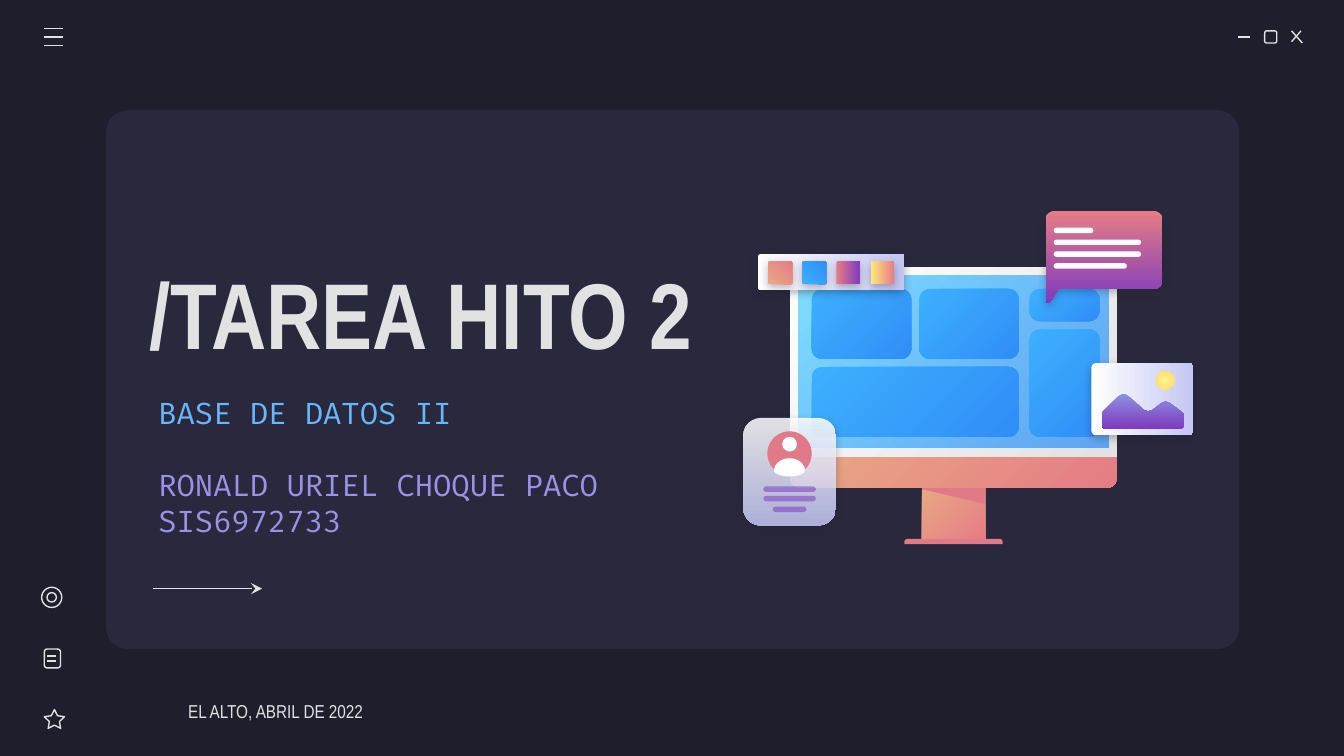
from math import cos, sin, radians
from lxml.etree import SubElement
from pptx import Presentation
from pptx.dml.color import RGBColor
from pptx.enum.shapes import MSO_CONNECTOR, MSO_SHAPE
from pptx.enum.text import MSO_ANCHOR, MSO_AUTO_SIZE, PP_ALIGN
from pptx.oxml.ns import qn
from pptx.util import Inches, Pt

NIGHT = RGBColor(0x1E, 0x1E, 0x2C)
PANEL = RGBColor(0x29, 0x28, 0x3D)
PALE = RGBColor(0xE2, 0xE2, 0xE2)
WHITE = RGBColor(0xFF, 0xFF, 0xFF)
SKY = RGBColor(0x68, 0xB7, 0xFA)
LILAC = RGBColor(0x9A, 0x92, 0xE6)
CYAN = RGBColor(0x80, 0xDF, 0xFF)
AZURE = RGBColor(0x3D, 0xB0, 0xFD)
BLUE = RGBColor(0x30, 0x8E, 0xF7)
PEACH = RGBColor(0xE9, 0xA9, 0x84)
CORAL = RGBColor(0xE5, 0x7C, 0x85)
ROSE = RGBColor(0xE0, 0x7A, 0x88)
PLUM = RGBColor(0x7E, 0x3B, 0xBE)
IRIS = RGBColor(0x8D, 0x90, 0xE1)
MIST = RGBColor(0xC5, 0xC7, 0xF4)
LEMON = RGBColor(0xFF, 0xF6, 0x8E)
STRAW = RGBColor(0xFF, 0xEA, 0x7D)
GOLD = RGBColor(0xFF, 0xD9, 0x66)

deck = Presentation()
deck.slide_width, deck.slide_height = Inches(10), Inches(5.625)
slide = deck.slides.add_slide(deck.slide_layouts[5])
slide.background.fill.solid()
slide.background.fill.fore_color.rgb = NIGHT
shapes = slide.shapes
CELL = deck.slide_width / 100  # square grid, 100 columns wide

ROUND, RECT, OVAL = MSO_SHAPE.ROUNDED_RECTANGLE, MSO_SHAPE.RECTANGLE, MSO_SHAPE.OVAL
DOME = MSO_SHAPE.ROUND_2_SAME_RECTANGLE


def paint(shape, tones, angle=0, alpha=(), shade=0, turn=0):
    """No tones: outline only; one: solid; two: gradient (angle None: radial)."""
    shape.shadow.inherit = False
    shape.rotation = turn
    props = shape._element.spPr
    if not tones:
        shape.fill.background()
        shape.line.color.rgb, shape.line.width = PALE, Pt(0.75)
        return
    shape.line.fill.background()
    if len(tones) == 1:
        shape.fill.solid()
        shape.fill.fore_color.rgb = tones[0]
    else:
        shape.fill.gradient()
        for stop, tone in zip(shape.fill.gradient_stops, tones):
            stop.color.rgb = tone
        shape.fill.gradient_angle = -(angle or 0) % 360
        if angle is None:
            grad = props.find(qn("a:gradFill"))
            grad.remove(grad.find(qn("a:lin")))
            ring = SubElement(grad, qn("a:path"), path="circle")
            SubElement(ring, qn("a:fillToRect"), dict.fromkeys("ltrb", "50000"))
    for tone, part in zip(props.iter(qn("a:srgbClr")), alpha):
        SubElement(tone, qn("a:alpha"), val=str(part * 1000))
    if shade:
        drop = SubElement(props.find(qn("a:effectLst")), qn("a:outerShdw"), blurRad=str(Pt(4.5)),
                          dist=str(Pt(1.5)), dir="5400000", algn="bl", rotWithShape="0")
        tone = SubElement(drop, qn("a:srgbClr"), val=str(NIGHT))
        SubElement(tone, qn("a:alpha"), val=str(shade * 1000))


def block(kind, place, tones=(), bend=(), **look):
    """A preset shape at a grid place, or an outline when kind is None."""
    if kind is None:
        dots = [(x * CELL, y * CELL) for x, y in place]
        pen = shapes.build_freeform(*dots[0])
        pen.add_line_segments(dots[1:], close=True)
        shape = pen.convert_to_shape()
    else:
        shape = shapes.add_shape(kind, *(round(v * CELL) for v in place))
        for i, value in enumerate(bend):
            shape.adjustments[i] = value
    paint(shape, tones, **look)


# Panel, window button and side icons
block(ROUND, (7.9, 8.2, 84.3, 40.1), [PANEL], [0.04])
block(ROUND, (94.1, 2.3, 0.9, 0.9), bend=[0.17])
block(MSO_SHAPE.STAR_5_POINT, (3.3, 52.8, 1.5, 1.4), bend=[0.25])
block(ROUND, (3.3, 48.3, 1.2, 1.4), bend=[0.17])
block(OVAL, (3.1, 43.7, 1.5, 1.5))
block(OVAL, (3.5, 44.1, 0.7, 0.7))

# Lines: menu, window buttons, note icon, arrow
lines = [(3.3, y, 4.7, y) for y in (2.1, 2.75, 3.4)]
lines += [(92.1, 2.75, 93, 2.75), (96.1, 2.3, 96.9, 3.2), (96.8, 2.3, 96.1, 3.1)]
lines += [(3.5, y, 4.2, y) for y in (48.8, 49.2)]
lines += [(11.4, 43.8, 19.5, 43.8)]
for ends in lines:
    line = shapes.add_connector(MSO_CONNECTOR.STRAIGHT, *(round(v * CELL) for v in ends))
    line.line.color.rgb, line.line.width = PALE, Pt(0.75)
    SubElement(line._element.spPr, qn("a:effectLst"))
SubElement(line.line._get_or_add_ln(), qn("a:tailEnd"), type="stealth")

# Texts: place, right inset, align, format, lines with colours
title = shapes.title
shapes._spTree.append(title._element)
texts = [
    (title, (10.1, 14.4, 44.7, 17.6), 1, PP_ALIGN.LEFT,
     {"name": "Arial Narrow", "size": Pt(50), "bold": True}, [("/TAREA HITO 2", PALE)]),
    (None, (10.8, 32.4, 37, 4.6), 1, PP_ALIGN.LEFT, {"name": "Fira Code", "size": Pt(16)},
     [("BASE DE DATOS II", SKY), ("RONALD URIEL CHOQUE PACO SIS6972733", LILAC)]),
    (None, (8, 51.4, 19, 3), 0, PP_ALIGN.RIGHT, {"name": "Arial Narrow", "size": Pt(10)},
     [("EL ALTO, ABRIL DE 2022", PALE)]),
]
for box, place, inset, align, style, rows in texts:
    spots = [round(v * CELL) for v in place]
    box = box or shapes.add_textbox(*spots)
    box.left, box.top, box.width, box.height = spots
    frame = box.text_frame
    edge = Inches(0.1)
    setup = {"word_wrap": True, "auto_size": MSO_AUTO_SIZE.NONE,
             "vertical_anchor": MSO_ANCHOR.MIDDLE, "margin_left": edge, "margin_top": edge,
             "margin_bottom": edge, "margin_right": edge * inset}
    for key, value in setup.items():
        setattr(frame, key, value)
    for i, (words, tone) in enumerate(rows):
        para = frame.add_paragraph() if i else frame.paragraphs[0]
        para.alignment = align
        para.space_before = Pt(19.3 * i)
        run = para.add_run()
        run.text = words
        run.font.color.rgb = tone
        for key, value in style.items():
            setattr(run.font, key, value)

# Monitor: stand, chin, frame, screen
block(RECT, (68.6, 36.1, 4.7, 4.3), [PEACH, CORAL], angle=45)
block(DOME, (67.3, 40.1, 7.3, 0.4), [ROSE], [0.5, 0])
block(None, [(68.6, 36.1), (68.6, 36.4), (73.3, 37.5), (73.3, 36.1)], [ROSE])
block(DOME, (58.8, 33.9, 24.3, 2.4), [PEACH, CORAL], [0, 0.28], angle=45)
block(DOME, (58.8, 19.9, 24.3, 14.1), [WHITE, PALE], [0.04, 0], angle=45)
block(RECT, (59.4, 20.5, 23.1, 12.8), [CYAN, BLUE], angle=45, alpha=(100, 72))
tiles = [(60.4, 21.5, 7.4, 5.2), (60.4, 27.3, 15.4, 5.2), (68.4, 21.5, 7.4, 5.2),
         (76.6, 21.5, 5.2, 2.4), (76.6, 24.5, 5.2, 8)]
for tile in tiles:
    block(ROUND, tile, [AZURE, BLUE], [0.77 / min(tile[2:])], angle=45)

# Speech bubble: three round corners and a tail
bubble = []
for x, y, start in [(78.45, 16.35, 180), (85.85, 16.35, 270), (85.85, 20.85, 0)]:
    bubble += [(x + 0.65 * cos(radians(start + t)), y + 0.65 * sin(radians(start + t)))
               for t in range(0, 91, 10)]
bubble += [(78.8, 21.5), (78.15, 22.45), (78, 22.53), (77.85, 22.5), (77.8, 22.4)]
block(None, bubble, [CORAL, PLUM], angle=90, shade=30)
for i, wide in enumerate((2.95, 6.5, 6.5, 5.45)):
    block(ROUND, (78.4, 16.95 + 0.88 * i, wide, 0.4), [WHITE], [0.5])

# Profile card
block(ROUND, (55.3, 31.1, 6.9, 8), [WHITE, MIST], [0.19], angle=90, alpha=(86, 86), shade=29)
block(OVAL, (57.1, 32.1, 3.3, 3.3), [ROSE])
block(OVAL, (58.2, 32.5, 1.1, 1.1), [WHITE])
turns = [radians(t) for t in range(0, 360, 10)]
block(None, [(58.75 + 1.15 * cos(t), 35 - (0.9 if sin(t) > 0 else 0.45) * sin(t))
             for t in turns], [WHITE])
for x, y, wide in [(56.8, 36.2, 3.9), (56.8, 36.9, 3.9), (57.5, 37.7, 2.5)]:
    block(ROUND, (x, y, wide, 0.4), [PLUM], [0.5], alpha=[54])

# Photo card
block(ROUND, (82.3, 25.9, 5.4, 7.6), [WHITE, MIST], [0.07], angle=90, shade=30, turn=270)
hills = [(82, 30.7), (83.2, 29.5), (83.45, 29.33), (83.75, 29.33), (84, 29.5), (85.1, 30.5),
         (85.4, 30.6), (85.7, 30.55), (86.4, 30), (86.7, 29.87), (87, 29.95), (88, 30.7),
         (88.1, 30.9), (88.1, 31.7), (87.9, 31.9), (82.15, 31.9), (82, 31.75)]
block(None, hills, [IRIS, PLUM], angle=90)
block(OVAL, (86, 27.6, 1.4, 1.4), [LEMON, GOLD], angle=None)

# Colour palette
block(ROUND, (60.5, 14.8, 2.7, 10.9), [WHITE, MIST], [0.07], angle=90, shade=30, turn=270)
swatches = [(PEACH, CORAL, 45), (AZURE, BLUE, 45), (CORAL, PLUM, 90), (STRAW, CORAL, 90)]
for i, (first, last, angle) in enumerate(swatches):
    block(ROUND, (57.2 + 2.54 * i, 19.4, 1.7, 1.8), [first, last], [0.07],
          angle=angle, shade=30, turn=270)

deck.save("out.pptx")
